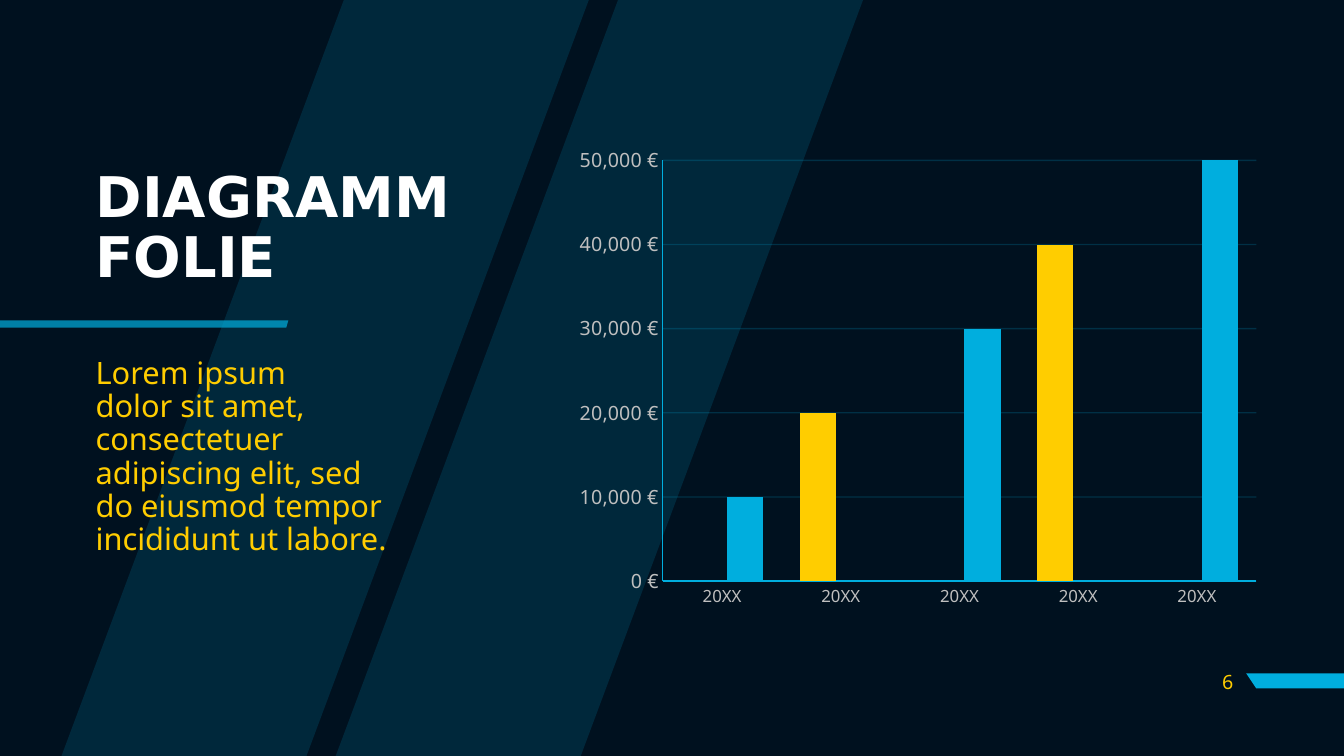
import copy

import pptx
import pptx.chart.data
import pptx.dml.color
import pptx.enum.chart
import pptx.enum.text
import pptx.oxml
import pptx.oxml.ns
import pptx.util

PX = 9144
NAVY, CYAN, GOLD, GREY, WHITE = "00111F", "00AEDE", "FFCD00", "BFBFBF", "FFFFFF"
HEAD, BODY = "DejaVu Sans", "Noto Sans"
ANCHOR = pptx.enum.text.MSO_ANCHOR
ALIGN = pptx.enum.text.PP_ALIGN
CHART = pptx.enum.chart
TAG = pptx.oxml.ns.qn


def hue(code):
    return pptx.dml.color.RGBColor.from_string(code)


def paint(fill, code):
    fill.solid()
    fill.fore_color.rgb = hue(code)


def fade(node, share):
    for tint in node.iter(TAG("a:srgbClr")):
        alpha = pptx.oxml.parse_xml(f'<a:alpha {pptx.oxml.ns.nsdecls("a")} val="{share * 1000}"/>')
        tint.append(alpha)


def apply(item, values):
    for name, value in values.items():
        setattr(item, name, value)


def style(font, size, code, face=BODY, bold=False):
    apply(font, {"size": pptx.util.Pt(size), "name": face, "bold": bold})
    font.color.rgb = hue(code)


class Deck:
    """Holds the style and the current slide, and draws each kind of element."""

    def __init__(self, wide, high):
        self.show = pptx.Presentation()
        apply(self.show, {"slide_width": wide * PX, "slide_height": high * PX})
        self.slide = self.show.slides.add_slide(self.show.slide_layouts[6])
        paint(self.slide.background.fill, NAVY)

    def shape(self, *rings, share=100):
        pen = self.slide.shapes.build_freeform(*rings[0][0], scale=PX)
        for ring in rings:
            if ring is not rings[0]:
                pen.move_to(*ring[0])
            pen.add_line_segments(ring[1:], close=True)
        form = pen.convert_to_shape()
        form.shadow.inherit = False
        paint(form.fill, CYAN)
        form.line.fill.background()
        if share < 100:
            fade(form.element.spPr, share)

    def text(self, words, box, font, frame=None, para=None):
        area = self.slide.shapes.add_textbox(*(n * PX for n in box)).text_frame
        apply(area, {"word_wrap": True, **(frame or {})})
        line = area.paragraphs[0]
        line.text = words
        apply(line, para or {})
        for run in line.runs:
            style(run.font, *font)

    def chart(self, box, years, rows, top, step):
        data = pptx.chart.data.CategoryChartData()
        data.categories = years
        for name, values, code in rows:
            data.add_series(name, values)
        kind = CHART.XL_CHART_TYPE.COLUMN_CLUSTERED
        chart = self.slide.shapes.add_chart(kind, *(n * PX for n in box), data).chart
        apply(chart, {"has_title": False, "has_legend": False})
        style(chart.font, 10, GREY)
        plot = chart.plots[0]
        apply(plot, {"gap_width": 100, "overlap": -27, "vary_by_categories": False})
        for series, row in zip(plot.series, rows):
            paint(series.format.fill, row[2])

        for axis, size in ((chart.category_axis, 12), (chart.value_axis, 14)):
            apply(axis, {"major_tick_mark": CHART.XL_TICK_MARK.NONE,
                         "minor_tick_mark": CHART.XL_TICK_MARK.NONE})
            style(axis.tick_labels.font, size, GREY)
            self.rule(axis.format.line)
        apply(axis, {"minimum_scale": 0, "maximum_scale": top,
                     "major_unit": step, "has_major_gridlines": True})
        apply(axis.tick_labels, {"number_format": '#,##0\\ "€"',
                                 "number_format_is_linked": False})
        self.rule(axis.major_gridlines.format.line)
        fade(chart.element.find(".//" + TAG("c:majorGridlines")), 20)
        self.split(chart.element)

    def split(self, root):
        bars, cats, vals = (root.find(".//" + TAG(name))
                            for name in ("c:barChart", "c:catAx", "c:valAx"))
        twins = [copy.deepcopy(node) for node in (bars, cats, vals)]
        for twin in twins:
            for node in twin.iter(TAG("c:axId"), TAG("c:crossAx")):
                node.set("val", str(int(node.get("val")) + 1))
        for axis in twins[1:]:
            axis.find(TAG("c:delete")).set("val", "1")
        twins[2].remove(twins[2].find(TAG("c:majorGridlines")))
        twins[2].find(TAG("c:crosses")).set("val", "max")
        bars.remove(bars.findall(TAG("c:ser"))[1])
        twins[0].remove(twins[0].find(TAG("c:ser")))
        bars.addnext(twins[0])
        vals.addnext(twins[1])
        vals.addnext(twins[2])

    def rule(self, line):
        line.width = pptx.util.Pt(1)
        paint(line.fill, CYAN)


def main():
    deck = Deck(1333, 750)
    bands = [[(x + 280, 0), (x, 750), (x + 243, 750), (x + 523, 0)] for x in (333, 61)]
    deck.shape(*bands, share=15)
    deck.shape([(1333, 668), (1333, 683), (1246, 683), (1236, 668)])
    deck.shape([(0, 318), (0, 325), (284, 325), (286, 318)], share=70)

    middle = {"vertical_anchor": ANCHOR.MIDDLE}
    deck.text("DIAGRAMM FOLIE", (85, 144, 400, 167), (40, WHITE, HEAD, True),
              middle, {"line_spacing": 0.9})
    deck.text("Lorem ipsum\vdolor sit amet, consectetuer adipiscing elit, sed\v"
              "do eiusmod tempor incididunt ut labore.",
              (85, 350, 309, 236), (22, GOLD), None,
              {"line_spacing": 0.9, "space_before": pptx.util.Pt(10)})
    rows = [("Series 1", (None, 20000, None, 40000, None), GOLD),
            ("Series 2", (10000, None, 30000, None, 50000), CYAN)]
    deck.chart((561, 136, 699, 477), ["20XX"] * 5, rows, 50000, 10000)
    deck.text("6", (1173, 656, 60, 40), (14, GOLD), middle, {"alignment": ALIGN.RIGHT})
    deck.show.save("out.pptx")


if __name__ == "__main__":
    main()
